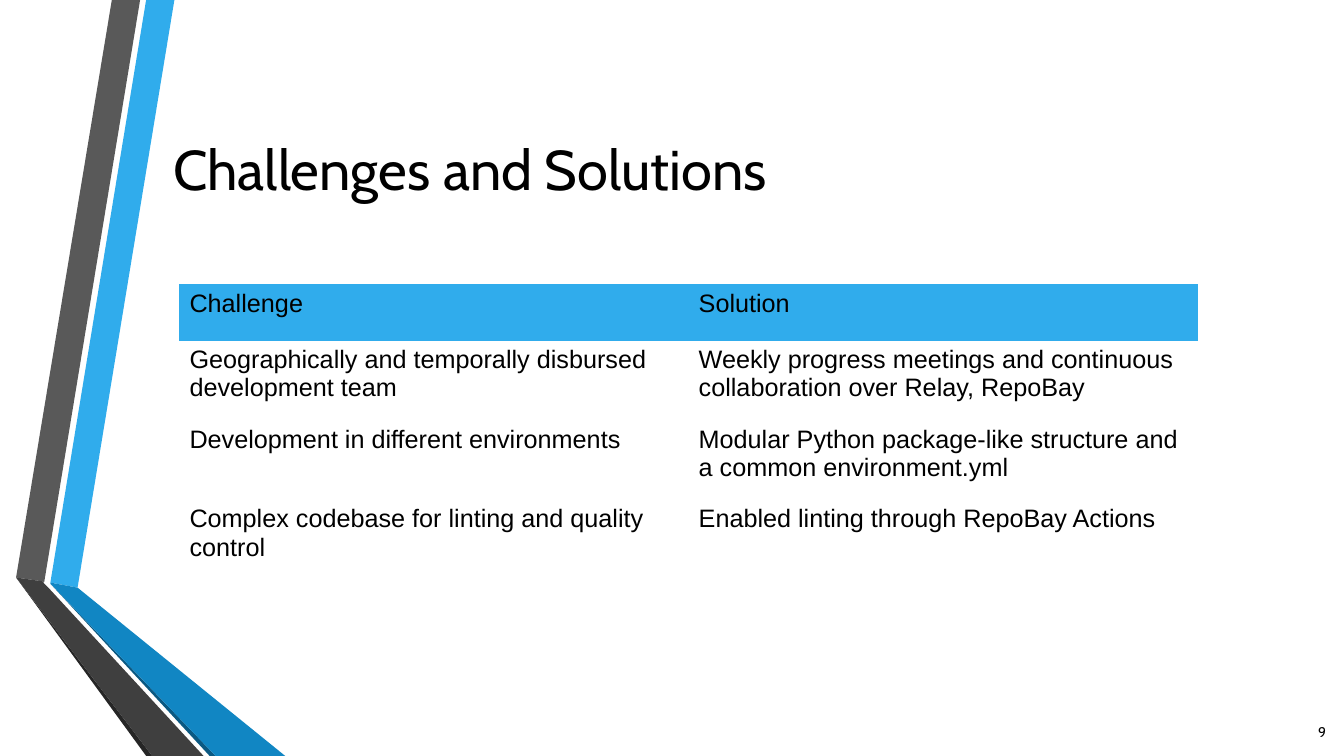
from dataclasses import dataclass

from pptx import Presentation
from pptx.dml.color import RGBColor
from pptx.enum.text import MSO_ANCHOR, PP_ALIGN
from pptx.slide import Slide
from pptx.util import Emu, Pt

EMU_PER_PX = 9144  # 100 px to the inch
BLACK = "000000"
BLUE = "30ACEC"
NO_STYLE_NO_GRID = "{2D5ABB26-0587-4C30-8999-92F81FD0307C}"


@dataclass(frozen=True)
class Ribbon:
    color: str
    points: list[tuple[int, int]]


@dataclass(frozen=True)
class Label:
    text: str
    left: int
    top: int
    width: int
    height: int
    size: int
    align: PP_ALIGN = PP_ALIGN.LEFT
    line_spacing: float = 1.0


RIBBONS = [
    Ribbon(BLUE, [(50, 578), (77, 583), (173, 0), (145, 0)]),
    Ribbon("595959", [(139, 0), (111, 0), (16, 573), (44, 577)]),
    Ribbon("262626", [(16, 573), (145, 750), (151, 750)]),
    Ribbon("0B5982", [(50, 579), (208, 750), (214, 750)]),
    Ribbon("1186C3", [(50, 578), (50, 579), (214, 750), (283, 750), (77, 583)]),
    Ribbon("3F3F3F", [(16, 573), (151, 750), (202, 750), (48, 583), (43, 578), (44, 577)]),
]

LABELS = [
    Label("Challenges and Solutions", 162, 75, 1096, 192, 40, line_spacing=0.9),
    Label("9", 1265, 706, 60, 40, 10, align=PP_ALIGN.RIGHT),
]

TABLE_ROWS = [
    ("Challenge", "Solution"),
    (
        "Geographically and temporally disbursed development team",
        "Weekly progress meetings and continuous collaboration over Relay, RepoBay",
    ),
    (
        "Development in different environments",
        "Modular Python package-like structure and a common environment.yml",
    ),
    (
        "Complex codebase for linting and quality control",
        "Enabled linting through RepoBay Actions",
    ),
]
ROW_HEIGHTS = [56, 79, 79, 69]
COLUMN_WIDTH = 505


def px(length: int) -> Emu:
    return Emu(length * EMU_PER_PX)


def rgb(color: str) -> RGBColor:
    return RGBColor.from_string(color)


def draw_ribbon(page: Slide, ribbon: Ribbon) -> None:
    start, *others = ribbon.points
    builder = page.shapes.build_freeform(*start, scale=EMU_PER_PX)
    builder.add_line_segments(others, close=True)
    shape = builder.convert_to_shape()
    shape.shadow.inherit = False
    shape.fill.solid()
    shape.fill.fore_color.rgb = rgb(ribbon.color)
    shape.line.fill.background()


def draw_label(page: Slide, label: Label) -> None:
    box = page.shapes.add_textbox(
        px(label.left), px(label.top), px(label.width), px(label.height)
    )
    frame = box.text_frame
    frame.word_wrap = True
    frame.vertical_anchor = MSO_ANCHOR.MIDDLE
    para = frame.paragraphs[0]
    para.text = label.text
    para.alignment = label.align
    para.line_spacing = label.line_spacing
    para.font.name = "Cabin"
    para.font.size = Pt(label.size)
    para.font.color.rgb = rgb(BLACK)


def draw_table(page: Slide) -> None:
    table_frame = page.shapes.add_table(
        len(TABLE_ROWS), 2, px(178), px(282), px(2 * COLUMN_WIDTH), px(sum(ROW_HEIGHTS))
    )
    table = table_frame.table
    table.horz_banding = False
    for style_id in table_frame.element.xpath(".//a:tableStyleId"):
        style_id.text = NO_STYLE_NO_GRID
    for row_index, texts in enumerate(TABLE_ROWS):
        table.rows[row_index].height = px(ROW_HEIGHTS[row_index])
        for column_index, text in enumerate(texts):
            cell = table.cell(row_index, column_index)
            if row_index == 0:
                cell.fill.solid()
                cell.fill.fore_color.rgb = rgb(BLUE)
            else:
                cell.fill.background()
            para = cell.text_frame.paragraphs[0]
            para.text = text
            para.font.name = "Arial"
            para.font.size = Pt(18)
            para.font.bold = False
            para.font.color.rgb = rgb(BLACK)


def main() -> None:
    deck = Presentation()
    deck.slide_width, deck.slide_height = px(1333), px(750)
    page = deck.slides.add_slide(deck.slide_layouts[6])
    for ribbon in RIBBONS:
        draw_ribbon(page, ribbon)
    for label in LABELS:
        draw_label(page, label)
    draw_table(page)
    deck.save("out.pptx")


if __name__ == "__main__":
    main()
